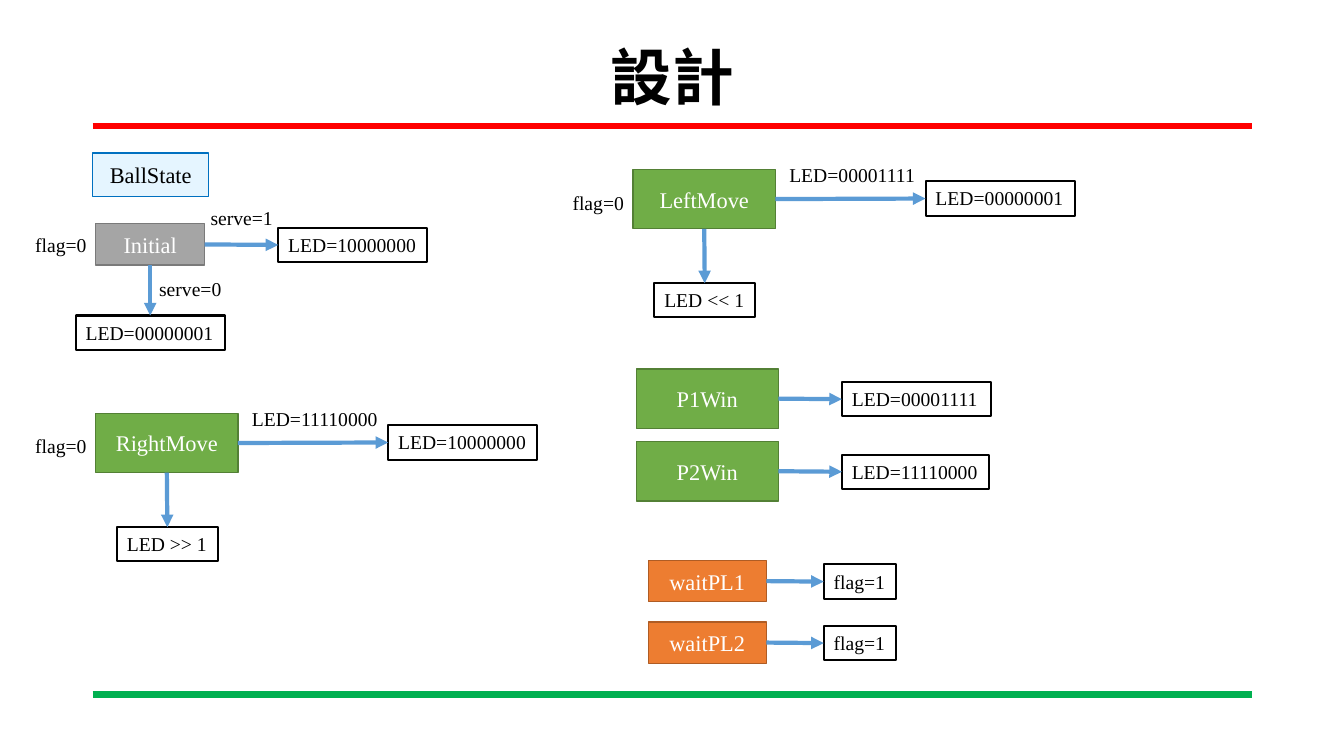
import pptx
import pptx.util
import pptx.dml.color
import pptx.enum.shapes
import pptx.enum.text
import pptx.oxml
import pptx.oxml.ns

PX = 9144
FONT = "Times New Roman"
BLACK, WHITE, BLUE = "000000", "FFFFFF", "5B9BD5"
TOP, LEFT, BOTTOM, RIGHT = range(4)
KEY = ("E5F5FF", "0070C0", BLACK)
GRAY = ("A5A5A5", "7A7A7A", WHITE)
GREEN = ("70AD47", "538035", WHITE)
ORANGE = ("ED7D31", "AF5C24", WHITE)


def px(*lengths):
    return [pptx.util.Emu(n * PX) for n in lengths]


def color(value):
    return pptx.dml.color.RGBColor.from_string(value)


def write(sp, text, size=14, fill=BLACK, bold=False, align="LEFT",
          anchor="TOP", wrap=True, grow=False, spacing=None):
    tf = sp.text_frame
    tf.word_wrap = wrap
    fit = pptx.enum.text.MSO_AUTO_SIZE
    tf.auto_size = fit.SHAPE_TO_FIT_TEXT if grow else fit.NONE
    tf.vertical_anchor = pptx.enum.text.MSO_ANCHOR[anchor]
    p = tf.paragraphs[0]
    p.alignment = pptx.enum.text.PP_ALIGN[align]
    p.line_spacing = spacing
    r = p.add_run()
    r.text = text
    r.font.name = FONT
    r.font.size = pptx.util.Pt(size)
    r.font.bold = bold
    r.font.color.rgb = color(fill)


def rect(s, x, y, w, h, line, weight):
    kind = pptx.enum.shapes.MSO_SHAPE.RECTANGLE
    sp = s.shapes.add_shape(kind, *px(x, y, w, h))
    sp.shadow.inherit = False
    sp.fill.background()
    sp.line.color.rgb = color(line)
    sp.line.width = pptx.util.Pt(weight)
    return sp


def state(s, text, x, y, w, h, style):
    fill, line, ink = style
    sp = rect(s, x, y, w, h, line, 1)
    sp.fill.solid()
    sp.fill.fore_color.rgb = color(fill)
    write(sp, text, size=16, fill=ink, align="CENTER", anchor="MIDDLE")
    return sp


def output(s, text, x, y, w=148):
    sp = rect(s, x, y, w, 34, BLACK, 1.5)
    write(sp, text, wrap=False, grow=True)
    return sp


def label(s, text, x, y, w, wrap=False):
    sp = s.shapes.add_textbox(*px(x, y, w, 34))
    write(sp, text, wrap=wrap, grow=True)


def line(s, x1, y1, x2, y2, stroke, weight):
    kind = pptx.enum.shapes.MSO_CONNECTOR.STRAIGHT
    c = s.shapes.add_connector(kind, *px(x1, y1, x2, y2))
    c.line.color.rgb = color(stroke)
    c.line.width = pptx.util.Pt(weight)
    c._element.spPr.append(pptx.oxml.parse_xml(
        "<a:effectLst %s/>" % pptx.oxml.ns.nsdecls("a")))
    return c


def arrow(s, start, end, down=False):
    c = line(s, 0, 0, 0, 0, BLUE, 3)
    c.begin_connect(start, BOTTOM if down else RIGHT)
    c.end_connect(end, TOP if down else LEFT)
    c.line._get_or_add_ln().append(pptx.oxml.parse_xml(
        '<a:tailEnd type="triangle" %s/>' % pptx.oxml.ns.nsdecls("a")))


def main():
    prs = pptx.Presentation()
    prs.slide_width, prs.slide_height = px(1333, 750)
    s = prs.slides.add_slide(prs.slide_layouts[5])

    title = s.shapes.title
    title.left, title.top, title.width, title.height = px(92, 40, 1150, 79)
    write(title, "設計", size=44, bold=True, align="CENTER",
          anchor="MIDDLE", spacing=0.9)
    for y, stroke in ((125, "FF0000"), (689, "00B050")):
        line(s, 92, y, 1242, y, stroke, 4.5)

    state(s, "BallState", 92, 152, 115, 43, KEY)

    initial = state(s, "Initial", 95, 222, 108, 41, GRAY)
    arrow(s, initial, output(s, "LED=10000000", 276, 226))
    arrow(s, initial, output(s, "LED=00000001", 75, 313), down=True)
    label(s, "serve=1", 199, 199, 83)
    label(s, "serve=0", 148, 270, 83)
    label(s, "flag=0", 25, 226, 75, wrap=True)

    moves = (
        ("RightMove", 95, 410, "LED=11110000", "LED=10000000", "LED >> 1", 426),
        ("LeftMove", 628, 168, "LED=00001111", "LED=00000001", "LED << 1", 184),
    )
    for name, x, y, condition, result, shift, flag_y in moves:
        move = state(s, name, x, y, 141, 59, GREEN)
        arrow(s, move, output(s, result, x + 290, y + 12))
        arrow(s, move, output(s, shift, x + 21, y + 113, 100), down=True)
        label(s, condition, x + 145, y - 11, 146)
        label(s, "flag=0", x - 70, flag_y, 75, wrap=True)

    ends = (
        ("P1Win", 631, 366, 141, 59, GREEN, "LED=00001111", 835, 148),
        ("P2Win", 631, 438, 141, 59, GREEN, "LED=11110000", 835, 146),
        ("waitPL1", 643, 556, 117, 41, ORANGE, "flag=1", 817, 72),
        ("waitPL2", 643, 617, 117, 41, ORANGE, "flag=1", 817, 72),
    )
    for name, x, y, w, h, style, result, result_x, result_w in ends:
        end = state(s, name, x, y, w, h, style)
        result_y = y + (h - 34 + 1) // 2
        arrow(s, end, output(s, result, result_x, result_y, result_w))

    prs.save("out.pptx")


if __name__ == "__main__":
    main()
